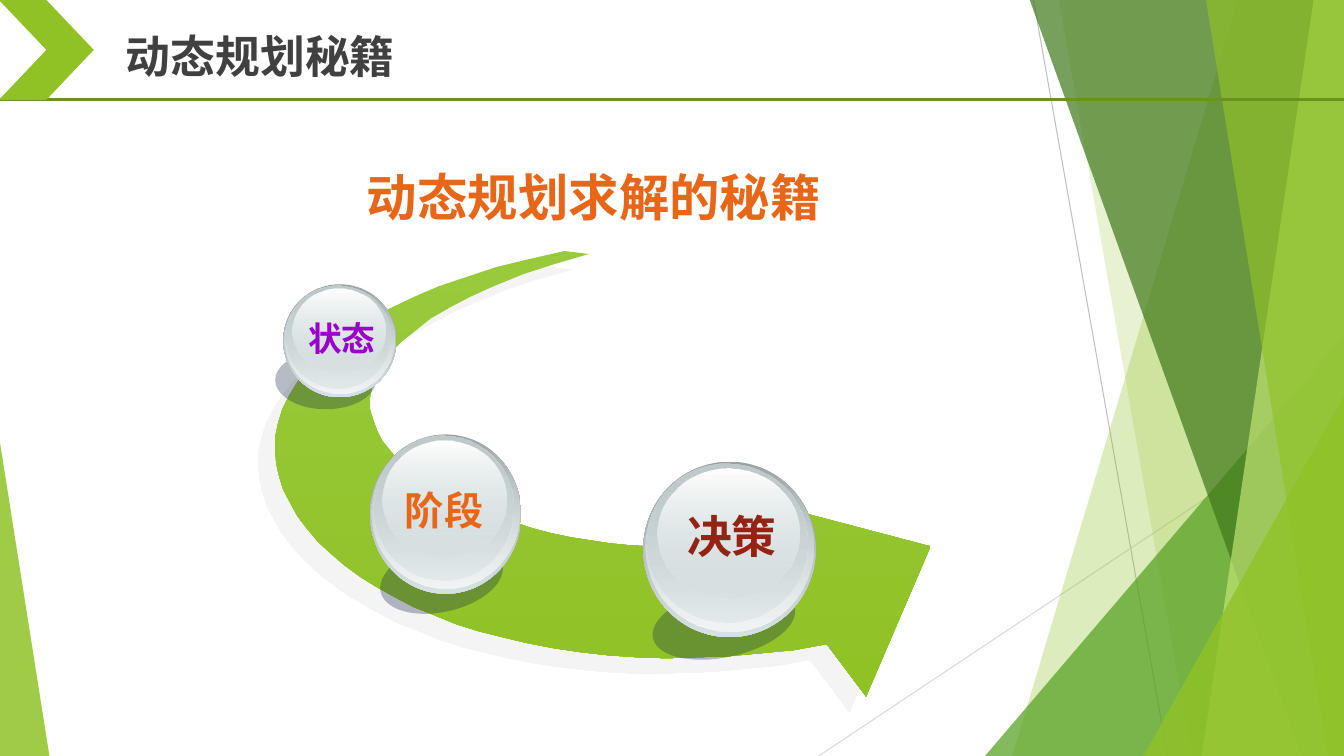
import lxml.etree
import pptx
import pptx.dml.color
import pptx.enum.shapes
import pptx.enum.text
import pptx.oxml.ns
import pptx.util

PX = 9144
FONT = "Noto Sans CJK SC"
SHAPES = pptx.enum.shapes.MSO_SHAPE
COLORS = {
    "lime": "90C226", "lime_light": "99CA3C", "lime_pale": "C0E474", "lime_dark": "6C921D",
    "leaf": "54A021", "forest": "3F7819", "hairline": "BFBFBF", "hairline_pale": "D9D9D9",
    "heading": "404040", "orange": "E76618", "red": "932313", "purple": "9900CC",
    "steel": "99A1A2", "mist": "D6E1E2", "frost": "F2F5F5", "silver": "C1CBCC",
    "white": "FFFFFF", "navy": "0F2145", "arrow_shadow": "EBEBEB",
}
SPHERE_LAYERS = [
    ((0, 0, 1, 1), ("steel", 100), ("mist", 100)),
    ((0.01, 0, 0.975, 0.97), ("mist", 0), ("frost", 100)),
    ((0.02, 0.01, 0.93, 0.91), ("silver", 100), ("mist", 48)),
    ((0.08, 0.04, 0.825, 0.74), ("white", 100), ("mist", 38)),
]
ARROW_OUTLINE = [
    (287, 0), (252, 8), (219, 16), (189, 26), (162, 35), (137, 46), (114, 57), (93, 68),
    (75, 80), (58, 92), (44, 104), (32, 117), (22, 130), (14, 143), (7, 157), (3, 170),
    (0, 184), (0, 197), (1, 211), (4, 224), (8, 237), (15, 250), (22, 263), (32, 276),
    (42, 288), (55, 300), (69, 312), (84, 323), (100, 333), (118, 343), (137, 353),
    (157, 361), (179, 370), (201, 377), (225, 383), (250, 389), (276, 394), (303, 398),
    (330, 401), (359, 403), (388, 404), (419, 403), (450, 402), (482, 399), (514, 396),
    (547, 390), (586, 442), (650, 293), (430, 235), (469, 287), (451, 290), (431, 293),
    (412, 294), (392, 294), (372, 293), (352, 292), (332, 290), (312, 287), (293, 284),
    (274, 280), (255, 275), (237, 269), (219, 263), (203, 257), (187, 250), (171, 242),
    (157, 234), (145, 225), (133, 217), (122, 207), (114, 198), (106, 188), (101, 178),
    (97, 167), (94, 157), (94, 146), (96, 135), (100, 124), (106, 113), (114, 101),
    (125, 90), (139, 79), (154, 67), (173, 56), (194, 45), (219, 34), (246, 23),
    (277, 13), (311, 3),
]


def rgb(color):
    return pptx.dml.color.RGBColor.from_string(COLORS[color])


def add_xml(parent, tag, **attributes):
    return lxml.etree.SubElement(parent, pptx.oxml.ns.qn(tag), attributes)


def set_alpha(shape, percents):
    colors = shape._element.spPr.iter(pptx.oxml.ns.qn("a:srgbClr"))
    for color, percent in zip(colors, percents):
        if percent < 100:
            add_xml(color, "a:alpha", val=str(percent * 1000))


def paint(shape, color, alpha=100):
    shape.fill.solid()
    shape.fill.fore_color.rgb = rgb(color)
    set_alpha(shape, [alpha])
    shape.line.fill.background()
    shape.shadow.inherit = False


def paint_gradient(shape, top, bottom):
    shape.fill.gradient()
    shape.fill.gradient_angle = 270
    for stop, (color, _) in zip(shape.fill.gradient_stops, (top, bottom)):
        stop.color.rgb = rgb(color)
    set_alpha(shape, [top[1], bottom[1]])
    shape.line.fill.background()
    shape.shadow.inherit = False


def add_preset(slide, kind, box):
    return slide.shapes.add_shape(kind, *(round(length * PX) for length in box))


def add_outline(slide, left, top, points):
    builder = slide.shapes.build_freeform(*points[0], scale=PX)
    builder.add_line_segments(points[1:], close=True)
    return builder.convert_to_shape(left * PX, top * PX)


def add_line(slide, start, end, color, width):
    line = slide.shapes.add_connector(
        pptx.enum.shapes.MSO_CONNECTOR.STRAIGHT, *(length * PX for length in start + end))
    line.line.color.rgb = rgb(color)
    line.line.width = pptx.util.Pt(width)
    add_xml(line._element.spPr, "a:effectLst")


def add_label(slide, box, text, size, color, centered=False, wrap=True, spacing=None, inset=None):
    label = slide.shapes.add_textbox(*(length * PX for length in box))
    frame = label.text_frame
    frame.word_wrap = wrap
    frame.auto_size = pptx.enum.text.MSO_AUTO_SIZE.SHAPE_TO_FIT_TEXT
    if inset is not None:
        frame.margin_left = frame.margin_right = inset * PX
        frame.margin_top = frame.margin_bottom = inset * PX
    paragraph = frame.paragraphs[0]
    if centered:
        paragraph.alignment = pptx.enum.text.PP_ALIGN.CENTER
    if spacing:
        paragraph.line_spacing = spacing
    run = paragraph.add_run()
    run.text = text
    run.font.size = pptx.util.Pt(size)
    run.font.bold = True
    run.font.name = FONT
    run.font.color.rgb = rgb(color)
    add_xml(run._r.get_or_add_rPr(), "a:ea", typeface=FONT)


def add_facets(slide, left, top, width, height):
    right, bottom = left + width, top + height
    add_line(slide, (right - 308, top), (right - 175, bottom), "hairline", 0.75)
    add_line(slide, (right, top + 403), (right - 521, bottom), "hairline_pale", 0.75)

    def add_band(top_inset, bottom_inset, color, alpha):
        corners = [(-top_inset, -1), (0, -1), (0, height), (-bottom_inset, height)]
        paint(add_outline(slide, right, top, corners), color, alpha)

    def add_corner(x, wide, tall, apex, color, alpha):
        corner = add_preset(slide, SHAPES.ISOSCELES_TRIANGLE, (x, bottom - tall, wide, tall))
        corner.adjustments[0] = apex
        paint(corner, color, alpha)

    add_band(105, 329, "lime", 30)
    add_band(283, 151, "lime", 20)
    add_corner(right - 356, 356, 417, 1, "leaf", 72)
    add_band(312, 42, "forest", 70)
    add_band(30, 141, "lime_pale", 70)
    add_band(137, 16, "lime", 65)
    add_corner(right - 199, 199, 357, 1, "lime", 80)
    add_corner(left, 49, 311, 0, "lime", 85)


def add_header(slide, left, top, width, height):
    add_line(slide, (left, top + height), (left + width, top + height), "lime_dark", 2.25)
    paint(add_preset(slide, SHAPES.CHEVRON, (left - 1, top, 94, height)), "lime")
    add_label(slide, (left + 115, top + 24, 433, 64), "动态规划秘籍", 32, "heading")


def add_arrow(slide, left, top):
    arrow = add_outline(slide, left, top, ARROW_OUTLINE)
    paint_gradient(arrow, ("lime_light", 100), ("lime", 100))
    effects = arrow._element.spPr.find(pptx.oxml.ns.qn("a:effectLst"))
    shadow = add_xml(effects, "a:outerShdw", dist=str(pptx.util.Pt(16.3)),
                     dir=str(137 * 60000), algn="ctr", rotWithShape="0")
    color = add_xml(shadow, "a:srgbClr", val=COLORS["arrow_shadow"])
    add_xml(color, "a:alpha", val="50000")


def add_sphere(slide, box, shadow_box, tilt, label_box, text, size, color, wrap=False):
    left, top, width, height = box

    def place(inner):
        return left + inner[0], top + inner[1], inner[2], inner[3]

    cast_shadow = add_preset(slide, SHAPES.OVAL, place(shadow_box))
    cast_shadow.rotation = tilt
    paint(cast_shadow, "navy", 30)
    for (x, y, wide, tall), upper, lower in SPHERE_LAYERS:
        inner = (x * width, y * height, wide * width, tall * height)
        paint_gradient(add_preset(slide, SHAPES.OVAL, place(inner)), upper, lower)
    add_label(slide, place(label_box), text, size, color, centered=True, wrap=wrap)


def main():
    deck = pptx.Presentation()
    deck.slide_width, deck.slide_height = 1333 * PX, 750 * PX
    slide = deck.slides.add_slide(deck.slide_layouts[6])
    add_facets(slide, 0, 0, 1333, 750)
    add_header(slide, 0, 0, 1333, 99)
    add_label(slide, (364, 135, 654, 91), "动态规划求解的秘籍", 36, "orange", spacing=1.5, inset=0)
    add_arrow(slide, 273, 249)
    add_sphere(slide, (638, 458, 171, 174), (8, 126, 144, 68), 347.9,
               (29, 42, 118, 64), "决策", 32, "red", wrap=True)
    add_sphere(slide, (367, 431, 150, 158), (9, 109, 124, 67), 347.1,
               (24, 47, 99, 57), "阶段", 28, "orange")
    add_sphere(slide, (281, 282, 112, 112), (-8, 66, 100, 58), 0,
               (14, 28, 88, 50), "状态", 24, "purple")
    deck.save("out.pptx")


if __name__ == "__main__":
    main()
